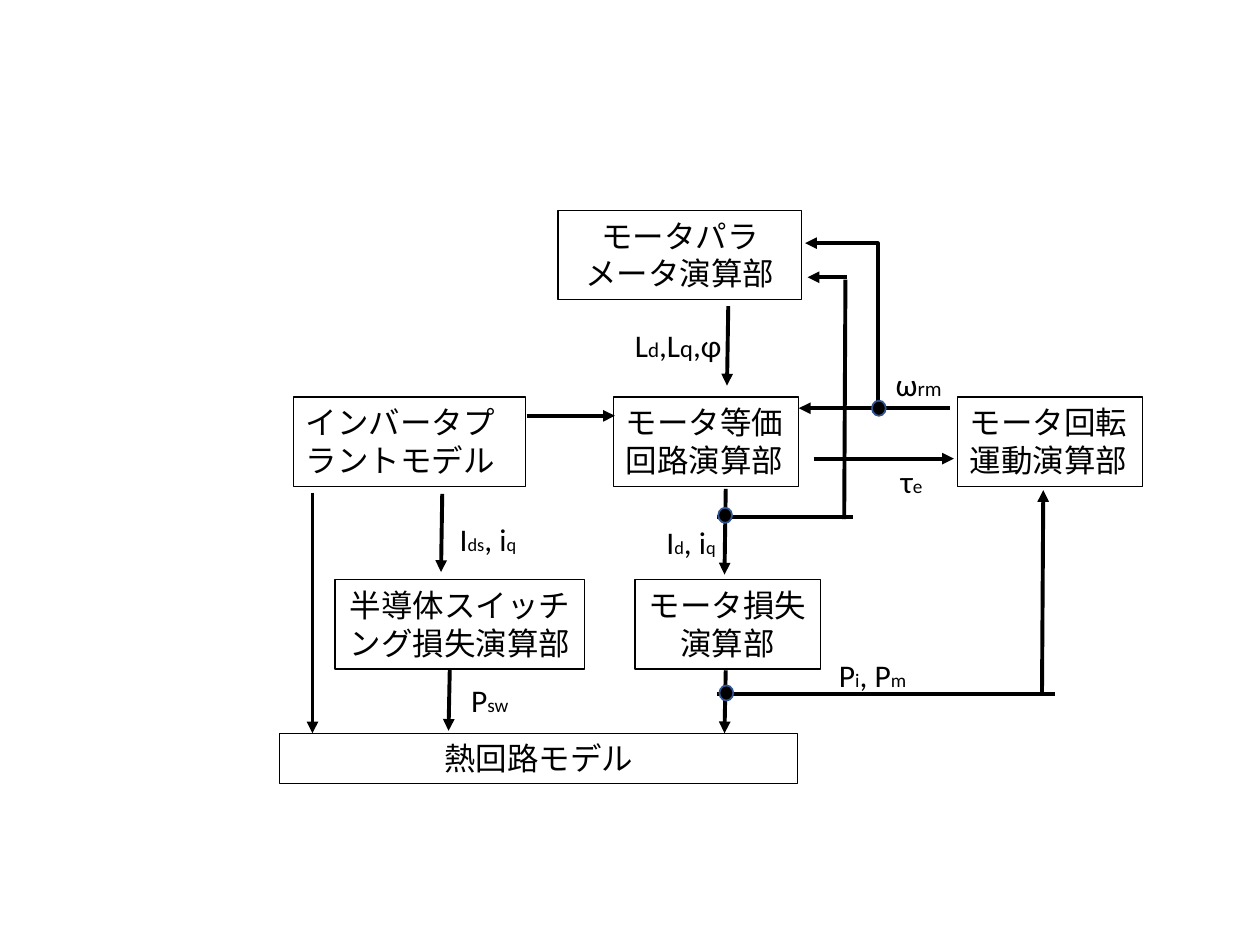
from dataclasses import dataclass

from lxml.etree import SubElement
from pptx import Presentation
from pptx.dml.color import RGBColor
from pptx.enum.shapes import MSO_CONNECTOR as Connector
from pptx.enum.shapes import MSO_SHAPE as Preset
from pptx.enum.text import MSO_ANCHOR as Anchor
from pptx.enum.text import MSO_AUTO_SIZE as AutoSize
from pptx.enum.text import PP_ALIGN as Align
from pptx.oxml.ns import qn
from pptx.util import Inches, Pt

BLACK = RGBColor(0x00, 0x00, 0x00)
DOT_EDGE = RGBColor(0x32, 0x54, 0x91)
FONT = "Calibri"
BODY_SIZE = 18
COLUMNS, ROWS = 100, 75
SLIDE_WIDTH, SLIDE_HEIGHT = Inches(10), Inches(7.5)
BOX_ROWS = 7.1
LABEL_ROWS = 4
DOT_COLUMNS, DOT_ROWS = 1.1, 1.2
MODEL_ROW, LOSS_ROW = 31.5, 46


@dataclass(frozen=True)
class Block:
    text: str
    column: float
    row: float
    columns: float
    rows: float = BOX_ROWS
    align: Align = Align.CENTER


@dataclass(frozen=True)
class Wire:
    start: tuple[float, float]
    end: tuple[float, float]
    arrow: bool = True
    kind: Connector = Connector.STRAIGHT


@dataclass(frozen=True)
class Label:
    symbols: tuple[tuple[str, float], ...]
    column: float
    row: float
    columns: float


BLOCKS = [
    Block("モータ回転運動演算部", 76, MODEL_ROW, 14.7, align=Align.LEFT),
    Block("モータ等価回路演算部", 48.7, MODEL_ROW, 14.7, align=Align.LEFT),
    Block("インバータプラントモデル", 23.3, MODEL_ROW, 18.4, align=Align.LEFT),
    Block("モータパラメータ演算部", 44.3, 16.7, 19.3),
    Block("モータ損失演算部", 50.4, LOSS_ROW, 14.7),
    Block("半導体スイッチング損失演算部", 26.6, LOSS_ROW, 19.8),
    Block("熱回路モデル", 22.2, 58.2, 41.1, 4),
]

WIRES = [
    Wire((57.8, 24.3), (57.7, 30.6)),
    Wire((64.6, 36.4), (75.7, 36.4)),
    Wire((41.8, 33), (48.8, 33)),
    Wire((57.6, 38.8), (57.5, 45.6)),
    Wire((35.1, 39.2), (35, 45.4)),
    Wire((24.8, 39.1), (24.8, 58.2)),
    Wire((35.7, 53.1), (35.6, 58)),
    Wire((57.6, 53.2), (57.5, 58.2)),
    Wire((75.1, 32.4), (63.4, 32.4)),
    Wire((75.4, 32.4), (63.9, 19.3), kind=Connector.ELBOW),
    Wire((56.9, 41), (67.7, 41), arrow=False),
    Wire((67, 41.2), (67.1, 22.2), arrow=False),
    Wire((67.2, 22), (64.1, 22)),
    Wire((56.9, 55.1), (83.7, 55.1), arrow=False),
    Wire((82.7, 55.2), (82.8, 38.9)),
]

DOTS = [(57, 40.3), (69.2, 31.8), (57.1, 54.4)]

LABELS = [
    Label((("L", 18), ("d", 12), (",L", 18), ("q", 14), (",φ", 18)), 49.4, 25.4, 10.3),
    Label((("τ", 18), ("e", 11)), 70.5, 36.2, 5.5),
    Label((("ω", 18), ("rm", 12)), 70.1, 28.5, 7.3),
    Label((("I", 18), ("d", 10.5), (", i", 18), ("q", 10.5)), 51.9, 41, 6.9),
    Label((("P", 18), ("i", 11), (", P", 18), ("m", 11)), 65.6, 51.6, 11),
    Label((("P", 18), ("sw", 11)), 36.4, 53.6, 11),
    Label((("I", 18), ("ds", 10.5), (", i", 18), ("q", 10.5)), 35.5, 40.8, 6.9),
]


def across(columns: float) -> int:
    return round(SLIDE_WIDTH * columns / COLUMNS)


def down(rows: float) -> int:
    return round(SLIDE_HEIGHT * rows / ROWS)


def area(column: float, row: float, columns: float, rows: float) -> tuple[int, ...]:
    return across(column), down(row), across(columns), down(rows)


def format_run(run, size: float) -> None:
    run.font.name = FONT
    run.font.size = Pt(size)
    run.font.color.rgb = BLACK


def draw_block(shapes, block: Block) -> None:
    shape = shapes.add_shape(
        Preset.RECTANGLE, *area(block.column, block.row, block.columns, block.rows)
    )
    shape.shadow.inherit = False
    shape.fill.background()
    shape.line.color.rgb = BLACK
    shape.line.width = Pt(0.75)
    frame = shape.text_frame
    frame.text = block.text
    frame.word_wrap = True
    frame.auto_size = AutoSize.SHAPE_TO_FIT_TEXT
    frame.vertical_anchor = Anchor.TOP
    paragraph = frame.paragraphs[0]
    paragraph.alignment = block.align
    format_run(paragraph.runs[0], BODY_SIZE)


def draw_wire(shapes, wire: Wire) -> None:
    connector = shapes.add_connector(
        wire.kind,
        across(wire.start[0]), down(wire.start[1]),
        across(wire.end[0]), down(wire.end[1]),
    )
    connector.line.color.rgb = BLACK
    connector.line.width = Pt(2.25)
    properties = connector._element.spPr
    if wire.arrow:
        SubElement(properties.find(qn("a:ln")), qn("a:tailEnd"), type="triangle")
    SubElement(properties, qn("a:effectLst"))


def draw_dot(shapes, column: float, row: float) -> None:
    shape = shapes.add_shape(Preset.OVAL, *area(column, row, DOT_COLUMNS, DOT_ROWS))
    shape.shadow.inherit = False
    shape.fill.solid()
    shape.fill.fore_color.rgb = BLACK
    shape.line.color.rgb = DOT_EDGE
    shape.line.width = Pt(1)


def draw_label(shapes, label: Label) -> None:
    box = shapes.add_textbox(*area(label.column, label.row, label.columns, LABEL_ROWS))
    frame = box.text_frame
    frame.word_wrap = True
    frame.auto_size = AutoSize.SHAPE_TO_FIT_TEXT
    for text, size in label.symbols:
        run = frame.paragraphs[0].add_run()
        run.text = text
        format_run(run, size)


def main() -> None:
    presentation = Presentation()
    presentation.slide_width = SLIDE_WIDTH
    presentation.slide_height = SLIDE_HEIGHT
    slide = presentation.slides.add_slide(presentation.slide_layouts[6])
    for block in BLOCKS:
        draw_block(slide.shapes, block)
    for wire in WIRES:
        draw_wire(slide.shapes, wire)
    for column, row in DOTS:
        draw_dot(slide.shapes, column, row)
    for label in LABELS:
        draw_label(slide.shapes, label)
    presentation.save("out.pptx")


if __name__ == "__main__":
    main()
